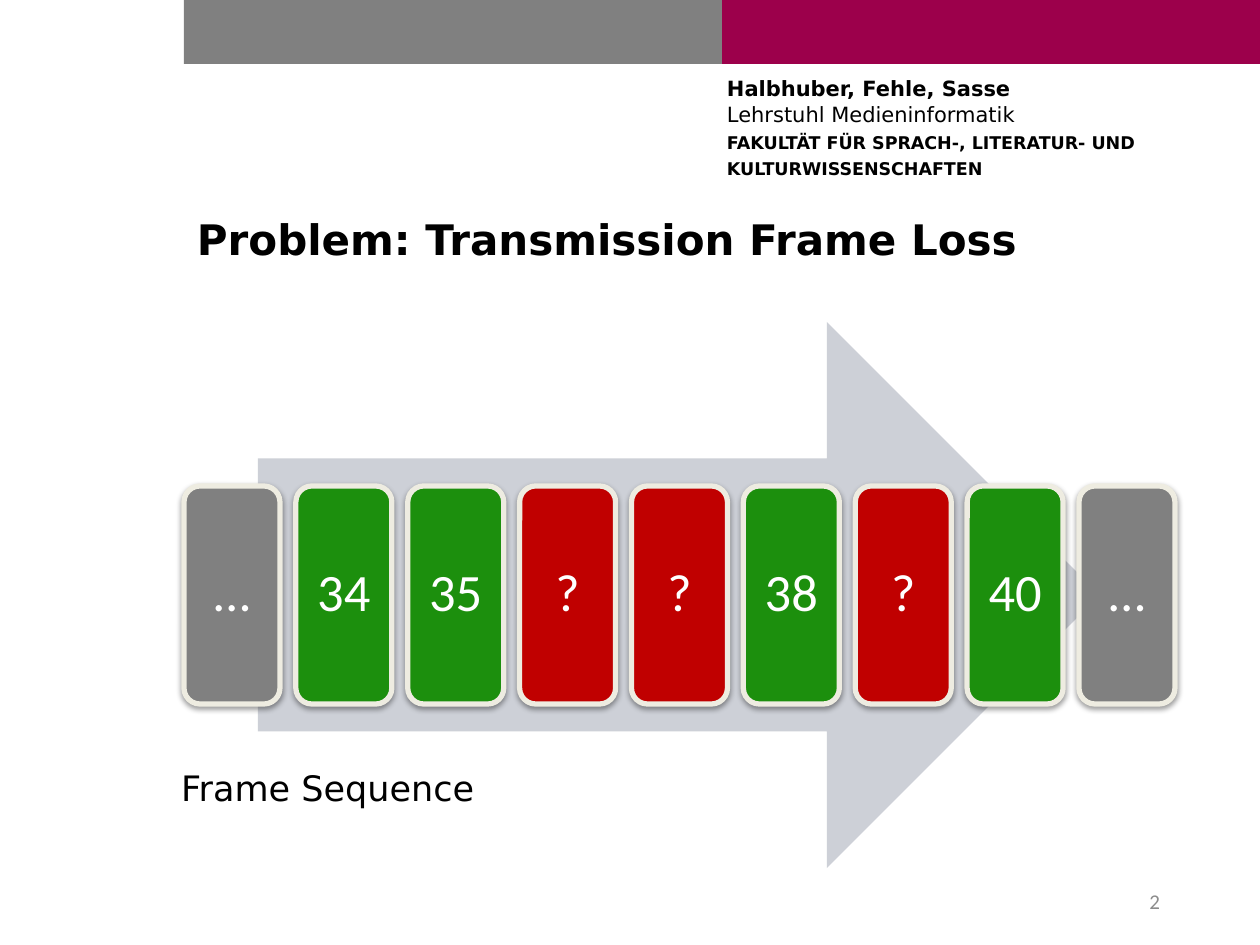
from dataclasses import dataclass

from lxml import etree
from pptx import Presentation
from pptx.dml.color import RGBColor
from pptx.enum.shapes import MSO_SHAPE
from pptx.enum.text import MSO_ANCHOR, PP_ALIGN
from pptx.oxml.ns import qn
from pptx.util import Emu, Pt

RECT, CARD, ARROW = MSO_SHAPE.RECTANGLE, MSO_SHAPE.ROUNDED_RECTANGLE, MSO_SHAPE.RIGHT_ARROW
TOP, MIDDLE = MSO_ANCHOR.TOP, MSO_ANCHOR.MIDDLE
LEFT, CENTER, RIGHT = PP_ALIGN.LEFT, PP_ALIGN.CENTER, PP_ALIGN.RIGHT


@dataclass(frozen=True)
class Theme:
    """Colours, fonts and type sizes of the slide."""
    ink: str = "000000"
    white: str = "FFFFFF"
    grey: str = "808080"
    berry: str = "9C004B"
    pale: str = "CDD0D7"
    cream: str = "EEECE1"
    received: str = "1C8F0D"
    lost: str = "C00000"
    muted: str = "8C8C8C"
    head_font: str = "DejaVu Sans"
    body_font: str = "Calibri"
    title: int = 24
    card: int = 30
    caption: int = 20
    small: int = 12
    faculty: int = 10


THEME = Theme()


def px(length):
    """Turn pixels into EMU."""
    return Emu(round(length * 914400 / 126))


def apply(target, formats):
    """Set each attribute named in formats on target."""
    for key, value in formats.items():
        setattr(target, key, value)


def write(paragraph, words, size, color=THEME.ink, font=THEME.head_font, bold=False):
    """Append a formatted run to a paragraph."""
    run = paragraph.add_run()
    run.text = words
    apply(run.font, {"size": Pt(size), "name": font, "bold": bold})
    run.font.color.rgb = RGBColor.from_string(color)


def frame(shape, inset_x=13, inset_y=6, anchor=TOP):
    """Prepare the text frame of a shape and return it."""
    text = shape.text_frame
    apply(text, {"word_wrap": True, "vertical_anchor": anchor,
                 "margin_left": px(inset_x), "margin_right": px(inset_x),
                 "margin_top": px(inset_y), "margin_bottom": px(inset_y)})
    return text


def add_text(slide, box, words, size, align=LEFT, anchor=TOP, **style):
    """Place one line of text in a box."""
    text = frame(slide.shapes.add_textbox(*map(px, box)), anchor=anchor)
    text.paragraphs[0].alignment = align
    write(text.paragraphs[0], words, size, **style)


def add_solid(slide, kind, box, color):
    """Place a filled shape without outline or shadow."""
    shape = slide.shapes.add_shape(kind, *map(px, box))
    shape.shadow.inherit = False
    shape.fill.solid()
    shape.fill.fore_color.rgb = RGBColor.from_string(color)
    shape.line.fill.background()
    return shape


def add_soft_shadow(shape):
    """Give a shape a small shadow that falls straight down."""
    effects = shape._element.spPr.find(qn("a:effectLst"))
    shadow = etree.SubElement(effects, qn("a:outerShdw"), blurRad="40000",
                              dist="20000", dir="5400000", rotWithShape="0")
    black = etree.SubElement(shadow, qn("a:srgbClr"), val=THEME.ink)
    etree.SubElement(black, qn("a:alpha"), val="38000")


def add_header(slide, box):
    """Draw the two colour bars and the department lines below the right one."""
    left, top, width, height = box
    half, bar = width // 2, 64
    for index, color in enumerate((THEME.grey, THEME.berry)):
        add_solid(slide, RECT, (left + index * half, top, half, bar), color)
    department = slide.shapes.add_textbox(
        *map(px, (left + half + 5, top + 76, half - 29, height - 76)))
    text = frame(department, 0, 0)
    authors = text.paragraphs[0]
    write(authors, "Halbhuber, Fehle, Sasse", THEME.small, bold=True)
    authors.add_line_break()
    write(authors, "Lehrstuhl Medieninformatik", THEME.small)
    for line in ("FAKULTÄT FÜR SPRACH-, LITERATUR- UND", "KULTURWISSENSCHAFTEN"):
        write(text.add_paragraph(), line, THEME.faculty, bold=True)
    for paragraph in text.paragraphs:
        paragraph.space_after = Pt(3)


def add_card(slide, box, label, color):
    """Draw one frame of the sequence."""
    card = add_solid(slide, CARD, box, color)
    card.line.color.rgb = RGBColor.from_string(THEME.cream)
    card.line.width = Pt(3)
    add_soft_shadow(card)
    number = frame(card, 10, 15, MIDDLE).paragraphs[0]
    apply(number, {"alignment": CENTER, "line_spacing": 0.9})
    write(number, label, THEME.card, THEME.white, THEME.body_font)


def add_sequence(slide, box, labels):
    """Draw the arrow and an evenly spaced row of frames across it."""
    left, top, width, height = box
    card_width, card_height = 96, 218
    pitch = (width - card_width) / (len(labels) - 1)
    card_top = top + (height - card_height) // 2
    arrow_width = round(width * 0.85)
    arrow_left = left + (width - arrow_width) // 2
    add_solid(slide, ARROW, (arrow_left, top, arrow_width, height), THEME.pale)
    colors = {"…": THEME.grey, "?": THEME.lost}
    for index, label in enumerate(labels):
        place = (left + index * pitch, card_top, card_width, card_height)
        add_card(slide, place, label, colors.get(label, THEME.received))


def main():
    """Build the slide and save it."""
    deck = Presentation()
    apply(deck, {"slide_width": px(1260), "slide_height": px(945)})
    slide = deck.slides.add_slide(deck.slide_layouts[6])
    add_header(slide, (184, 0, 1076, 194))
    add_text(slide, (184, 207, 990, 96), "Problem: Transmission Frame Loss",
             THEME.title, bold=True)
    add_text(slide, (890, 876, 283, 50), "2", THEME.small, RIGHT, MIDDLE,
             color=THEME.muted, font=THEME.body_font)
    add_sequence(slide, (184, 322, 991, 546),
                 ("…", "34", "35", "?", "?", "38", "?", "40", "…"))
    add_text(slide, (168, 760, 724, 55), "Frame Sequence", THEME.caption)
    deck.save("out.pptx")


if __name__ == "__main__":
    main()
